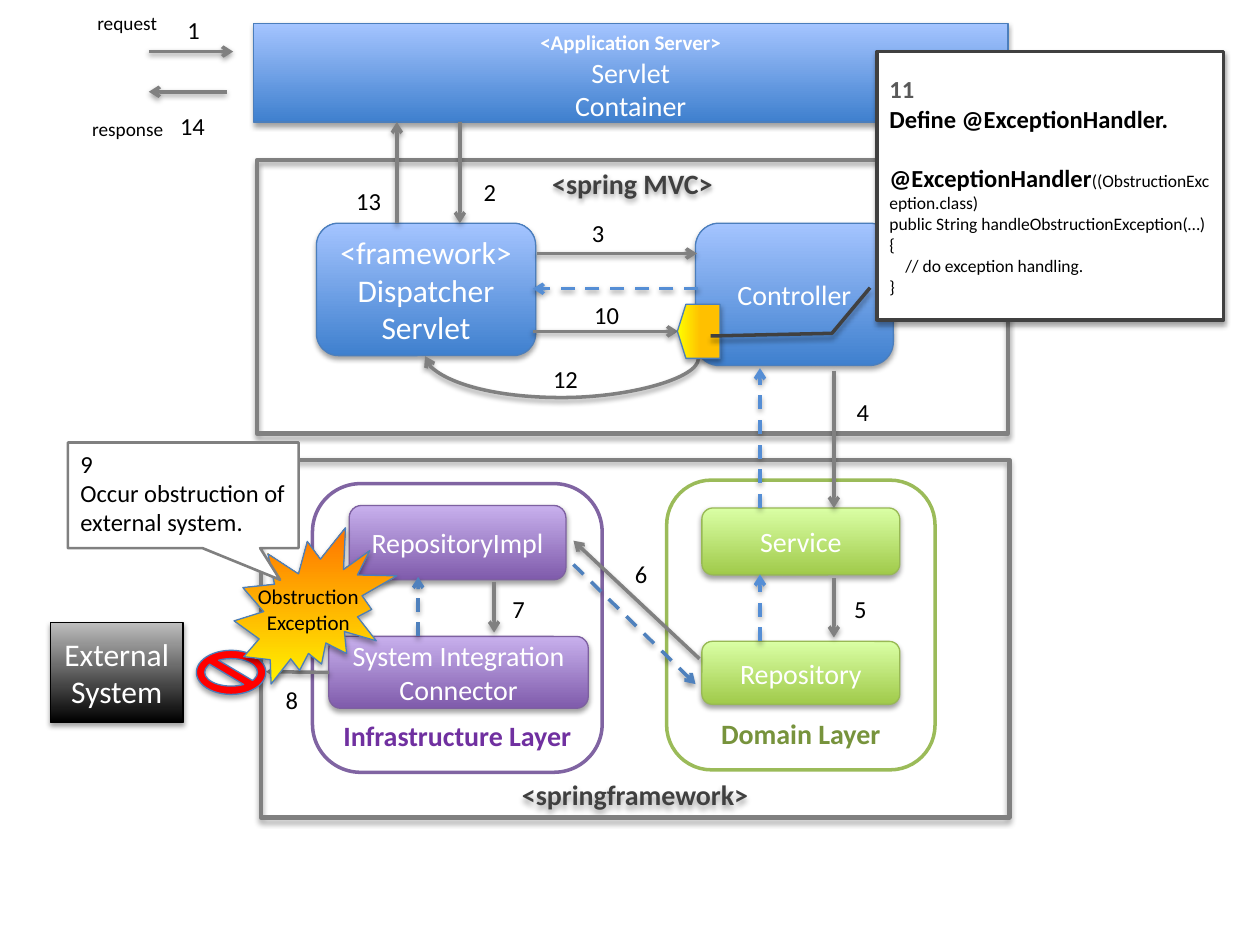
from dataclasses import dataclass

from lxml.etree import SubElement
from pptx import Presentation
from pptx.dml.color import RGBColor
from pptx.enum.dml import MSO_LINE_DASH_STYLE as Dash
from pptx.enum.shapes import MSO_CONNECTOR as Link, MSO_SHAPE as Form
from pptx.enum.text import MSO_ANCHOR as Anchor, PP_ALIGN as Align
from pptx.oxml.ns import qn
from pptx.util import Cm, Pt


@dataclass(frozen=True)
class Theme:
    font: str = "Calibri"
    black: str = "000000"
    white: str = "FFFFFF"
    red: str = "FF0000"
    grey: str = "808080"
    dark: str = "404040"
    mid: str = "595959"
    outline: str = "4B7EBC"
    return_blue: str = "558ED5"
    inner_blue: str = "4F81BD"
    green_line: str = "9BBB59"
    green_text: str = "77933C"
    purple_line: str = "8064A2"
    purple_text: str = "7030A0"
    # Gradients run from bottom to top: colour, colour, end of the blend
    blue: tuple = ("3F80CE", "A4C4FF", 1)
    green: tuple = ("A0CA4A", "DAFFA5", 1)
    purple: tuple = ("7F5BAB", "C8B0ED", 1)
    night: tuple = ("000000", "BDBDBD", 1)
    amber: tuple = ("FFFF00", "FFC000", 0.54)
    blast: tuple = ("FFF200", "FF7A00", 0.96)
    code: int = 10
    caption: int = 11
    small: int = 12
    number: int = 14
    title: int = 16
    large: int = 18


THEME = Theme()


@dataclass
class Span:
    text: str
    size: int = THEME.title
    color: str = THEME.white
    bold: bool = False


def rgb(color):
    return RGBColor.from_string(color)


def write(box, paras, align=Align.CENTER, anchor=Anchor.MIDDLE):
    """Fill a box with paragraphs, each one a list of spans."""
    frame = box.text_frame
    frame.word_wrap = True
    frame.vertical_anchor = anchor
    for index, spans in enumerate(paras):
        para = frame.add_paragraph() if index else frame.paragraphs[0]
        para.alignment = align
        for span in spans:
            run = para.add_run()
            run.text = span.text
            run.font.name = THEME.font
            run.font.size = Pt(span.size)
            run.font.bold = span.bold
            run.font.color.rgb = rgb(span.color)


def add_shadow(item, distance):
    effects = SubElement(item._element.spPr, qn("a:effectLst"))
    shadow = SubElement(effects, qn("a:outerShdw"), blurRad=str(Pt(3.1)),
                        dist=str(Pt(distance)), dir="5400000", rotWithShape="0")
    color = SubElement(shadow, qn("a:srgbClr"), val=THEME.black)
    SubElement(color, qn("a:alpha"), val="36000")


def paint(fill, color):
    """Apply no fill, a plain colour or a gradient."""
    if color is None:
        fill.background()
    elif isinstance(color, str):
        fill.solid()
        fill.fore_color.rgb = rgb(color)
    else:
        fill.gradient()
        fill.gradient_angle = 90
        first, last = fill.gradient_stops
        first.color.rgb, last.color.rgb = rgb(color[0]), rgb(color[1])
        first.position, last.position = 0, color[2]


def add_box(page, form, place, fill=None, line=THEME.outline, width=0.75, shadow=True):
    box = page.shapes.add_shape(form, *map(Cm, place))
    paint(box.fill, fill)
    box.line.color.rgb = rgb(line)
    box.line.width = Pt(width)
    if shadow:
        add_shadow(box, 1.8)
    else:
        box.shadow.inherit = False
    return box


def add_arrow(page, ends, color=THEME.grey, dashed=False, form=Link.STRAIGHT, tip="tailEnd"):
    arrow = page.shapes.add_connector(form, *map(Cm, ends))
    arrow.line.color.rgb = rgb(color)
    arrow.line.width = Pt(2)
    if dashed:
        arrow.line.dash_style = Dash.DASH
    SubElement(arrow.line._get_or_add_ln(), qn(f"a:{tip}"), type="arrow")
    add_shadow(arrow, 1.6)
    return arrow


def add_label(page, place, span, align=Align.LEFT, anchor=Anchor.TOP):
    write(page.shapes.add_textbox(*map(Cm, place)), [[span]], align, anchor)


def add_frames(page):
    server = add_box(page, Form.RECTANGLE, (5.11, 0.48, 15.21, 1.98), THEME.blue)
    write(server, [[Span("<Application Server>", THEME.small, bold=True)],
                   [Span("Servlet")], [Span("Container")]], anchor=Anchor.TOP)
    for name, form, place, fill, line, width, color, anchor in (
        ("<spring MVC>", Form.RECTANGLE, (5.18, 3.23, 15.14, 5.51),
         None, THEME.grey, 2.5, THEME.dark, Anchor.TOP),
        ("Domain Layer", Form.ROUNDED_RECTANGLE, (13.44, 9.68, 5.41, 5.84),
         THEME.white, THEME.green_line, 2, THEME.green_text, Anchor.BOTTOM),
        ("Infrastructure Layer", Form.ROUNDED_RECTANGLE, (6.3, 9.75, 5.84, 5.82),
         THEME.white, THEME.purple_line, 2, THEME.purple_text, Anchor.BOTTOM),
        ("<springframework>", Form.RECTANGLE, (5.26, 9.27, 15.09, 7.21),
         None, THEME.grey, 2.5, THEME.dark, Anchor.BOTTOM),
    ):
        frame = add_box(page, form, place, fill, line, width, shadow=fill is None)
        write(frame, [[Span(name, color=color, bold=True)]], anchor=anchor)


def add_components(page):
    """Draw the components and return them by their first line."""
    rounded, boxes = Form.ROUNDED_RECTANGLE, {}
    for lines, form, place, fill, line, size in (
        (["<framework>", "Dispatcher", "Servlet"], rounded, (6.38, 4.5, 4.42, 2.67),
         THEME.blue, THEME.outline, THEME.large),
        (["Controller"], rounded, (14.02, 4.5, 3.99, 2.87),
         THEME.blue, THEME.outline, THEME.title),
        (["Service"], rounded, (14.15, 10.24, 3.99, 1.35),
         THEME.green, "98B955", THEME.title),
        (["Repository"], rounded, (14.15, 12.93, 3.99, 1.27),
         THEME.green, "98B955", THEME.title),
        (["RepositoryImpl"], rounded, (7.04, 10.19, 4.37, 1.5),
         THEME.purple, "7D60A0", THEME.title),
        (["System Integration", "Connector"], rounded, (6.63, 12.83, 5.23, 1.45),
         THEME.purple, "7D60A0", THEME.title),
        (["External", "System"], Form.RECTANGLE, (1.02, 12.55, 2.67, 2.01),
         THEME.night, THEME.black, THEME.large),
    ):
        box = add_box(page, form, place, fill, line)
        write(box, [[Span(text, size)] for text in lines])
        boxes[lines[0]] = box
    return boxes


def add_flow(page, boxes):
    for ends in (
        (3, 1.04, 4.7, 1.04), (4.57, 1.85, 3, 1.85), (9.27, 2.46, 9.27, 4.5),
        (8, 4.5, 8, 2.46), (10.82, 5.11, 14.05, 5.11), (10.74, 6.68, 13.67, 6.68),
        (16.81, 7.47, 16.81, 10.24), (16.81, 11.66, 16.81, 12.85),
        (14.1, 13.28, 11.56, 10.9), (9.96, 11.73, 9.96, 12.75),
    ):
        add_arrow(page, ends)
    outbound = add_arrow(page, (6.63, 13.54, 5.36, 13.54))
    outbound.begin_connect(boxes["System Integration"], 1)
    for ends, color in (
        ((15.32, 10.24, 15.32, 7.42), THEME.return_blue),
        ((14.07, 5.82, 10.74, 5.82), THEME.return_blue),
        ((15.32, 12.93, 15.32, 11.58), THEME.return_blue),
        ((8.43, 12.83, 8.43, 11.63), THEME.inner_blue),
        ((11.56, 11.38, 14.02, 13.79), THEME.inner_blue),
    ):
        add_arrow(page, ends, color, dashed=True)
    # The curve is laid out upright, then turned to hang below the boxes
    curve = add_arrow(page, (11.35, 4.45, 11.3, 9.96), form=Link.CURVE, tip="headEnd")
    curve._element.spPr.find(qn("a:xfrm")).set("rot", str(270 * 60000))
    guides = curve._element.spPr.find(qn("a:prstGeom")).find(qn("a:avLst"))
    SubElement(guides, qn("a:gd"), name="adj1", fmla="val 1671900")


def add_labels(page):
    for number, left, top in (
        (1, 3.53, 0.18), (2, 9.5, 3.45), (3, 11.68, 4.27), (4, 17.02, 7.87),
        (5, 16.97, 11.86), (6, 12.55, 11.15), (7, 10.08, 11.86), (8, 5.51, 13.69),
        (10, 11.73, 5.92), (12, 10.9, 7.21), (13, 6.93, 3.63), (14, 3.38, 2.11),
    ):
        add_label(page, (left, top, 1.32, 0.86), Span(str(number), THEME.number, THEME.black))
    for text, place in (("request", (1.6, 0.1, 1.93, 0.74)),
                        ("response", (1.52, 2.24, 2.11, 0.74))):
        add_label(page, place, Span(text, THEME.caption, THEME.black), Align.CENTER)


def add_handler(page):
    entry = add_box(page, Form.FLOWCHART_OFFPAGE_CONNECTOR, (13.54, 6.25, 1.09, 0.86), THEME.amber)
    entry.rotation = 90
    note = add_box(page, Form.LINE_CALLOUT_2, (17.68, 1.04, 6.99, 5.41),
                   THEME.white, THEME.dark, 2)
    for index, value in enumerate((0.88, -0.02, 1.05, -0.13, 1.06, -0.48)):
        note.adjustments[index] = value
    code = [[Span(text, THEME.code, THEME.black)] for text in (
        "public String handleObstructionException(…) {", "// do exception handling.", "}")]
    write(note, [
        [Span("11", THEME.number, THEME.mid, True)],
        [Span("Define @ExceptionHandler.", THEME.number, THEME.black, True)],
        [Span("@ExceptionHandler", THEME.number, THEME.black, True),
         Span("((ObstructionException.class)", THEME.code, THEME.black)],
        *code], Align.LEFT)
    paras = note.text_frame.paragraphs
    paras[2].space_before = Pt(17)
    paras[4]._p.get_or_add_pPr().set("marL", str(Cm(0.32)))


def add_failure(page):
    add_box(page, Form.NO_SYMBOL, (3.96, 13.11, 1.4, 0.89), THEME.red)
    add_box(page, Form.EXPLOSION2, (4.72, 10.64, 3.28, 3.15), THEME.blast)
    add_label(page, (4.93, 11.58, 2.57, 1.4),
              Span("ObstructionException", THEME.small, THEME.black), Align.CENTER, Anchor.MIDDLE)
    note = add_box(page, Form.RECTANGULAR_CALLOUT, (1.37, 8.92, 4.65, 2.13),
                   THEME.white, THEME.grey, 1.5, shadow=False)
    note.adjustments[0], note.adjustments[1] = 0.42, 0.8
    write(note, [[Span(text, THEME.number, THEME.black)] for text in (
        "9", "Occur obstruction of external system.")], Align.LEFT, Anchor.TOP)


def main():
    deck = Presentation()
    deck.slide_width, deck.slide_height = Cm(25.4), Cm(19.05)
    page = deck.slides.add_slide(deck.slide_layouts[6])
    add_frames(page)
    boxes = add_components(page)
    add_flow(page, boxes)
    add_labels(page)
    add_handler(page)
    add_failure(page)
    deck.save("out.pptx")


if __name__ == "__main__":
    main()
